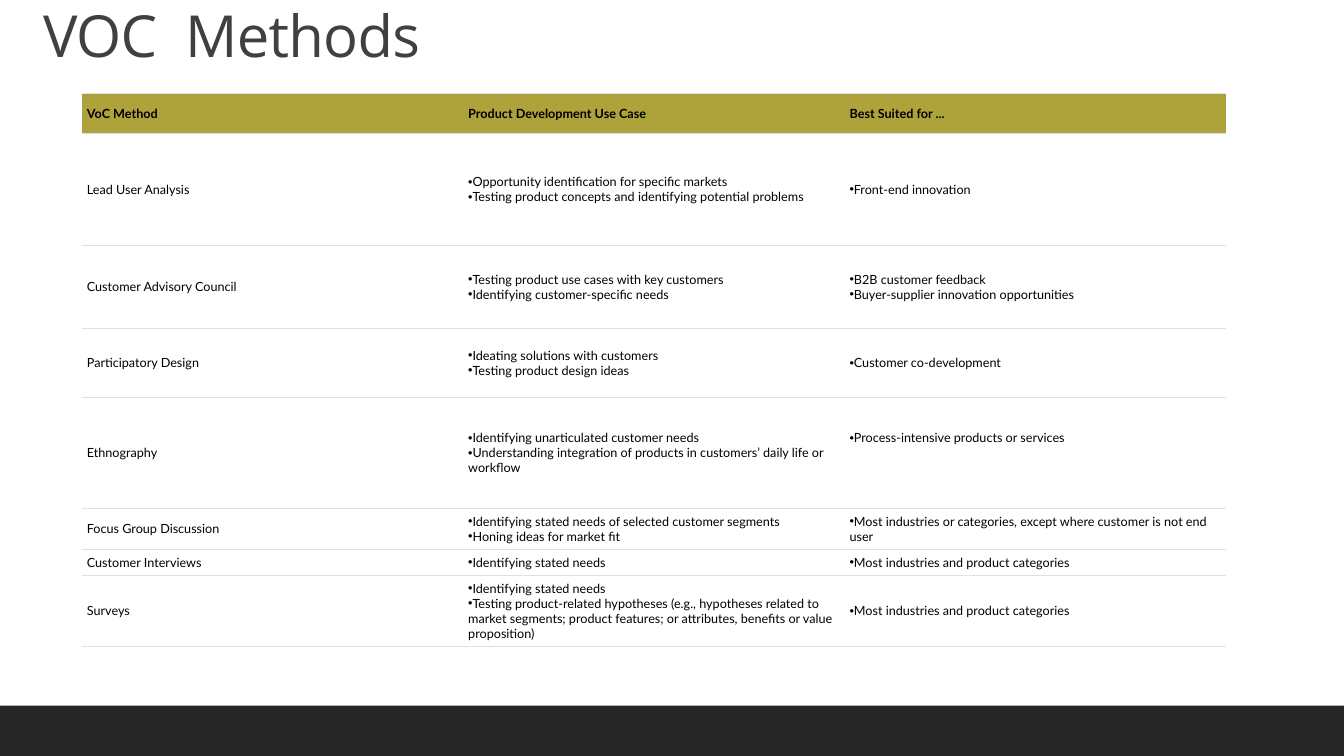
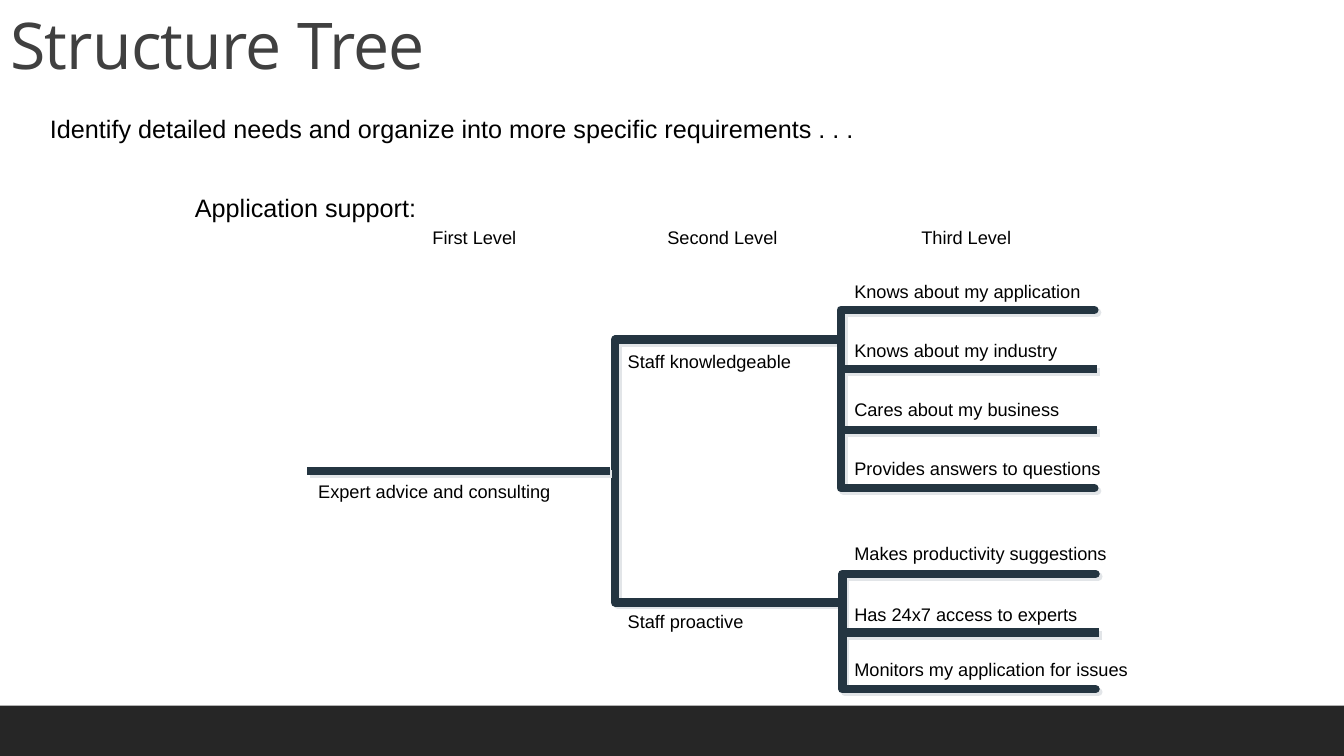
from dataclasses import dataclass

from lxml.etree import SubElement
from pptx import Presentation
from pptx.dml.color import RGBColor
from pptx.enum.shapes import MSO_CONNECTOR as Connector, MSO_SHAPE as Preset
from pptx.enum.text import MSO_ANCHOR as Anchor, MSO_AUTO_SIZE as AutoSize, PP_ALIGN as Align
from pptx.oxml.ns import qn
from pptx.util import Cm, Pt


@dataclass(frozen=True)
class Theme:
    ink: str = "000000"
    title_ink: str = "404040"
    band: str = "262626"
    header: str = "AEA33A"
    paper: str = "FFFFFF"
    rule: str = "E0E0E0"
    branch: str = "243541"
    branch_shadow: str = "E2E5E8"
    title_font: str = "Open Sans"
    table_font: str = "Lato"
    tree_font: str = "Arial"
    bullet_font: str = "Arial"
    title_size: float = 46
    small_title_size: float = 41.4
    lead_size: float = 18
    label_size: float = 13
    cell_size: float = 9
    branch_width: float = 6
    rule_width: float = 0.5


TIGHT = (0.18, 0.08)
ROOMY = (0.23, 0.13)
FLUSH = (0, 0)


class Deck:
    """Builds slides in one shared style, one method for each kind of element."""

    def __init__(self, theme):
        self.theme = theme
        self.prs = Presentation()
        self.prs.slide_width, self.prs.slide_height = Cm(33.87), Cm(19.05)
        self.slide = None

    def add_master_band(self):
        band = self.slide.shapes.add_shape(
            Preset.RECTANGLE, 0, Cm(17.78), self.prs.slide_width, Cm(1.27))
        band.shadow.inherit = False
        self.paint(band.fill, self.theme.band)
        band.line.fill.background()
        self.prs.slide_master.shapes._spTree.insert(2, band._element)

    def add_slide(self, title, left, top, height, size):
        self.slide = self.prs.slides.add_slide(self.prs.slide_layouts[5])
        if len(self.prs.slides) == 1:
            self.add_master_band()

        heading = self.slide.shapes.title
        heading.left, heading.top = Cm(left), Cm(top)
        heading.width, heading.height = Cm(27.94), Cm(height)
        frame = heading.text_frame
        frame.text = title
        frame.auto_size = AutoSize.NONE
        frame.vertical_anchor = Anchor.BOTTOM
        line = frame.paragraphs[0]
        line.alignment, line.line_spacing = Align.LEFT, 0.9
        self.style(line, self.theme.title_font, size, self.theme.title_ink)
        for run in line.runs:
            run.font._element.set("spc", "-50")

    def paint(self, fill, color):
        fill.solid()
        fill.fore_color.rgb = RGBColor.from_string(color)

    def style(self, paragraph, font, size, color, bold=False):
        for run in paragraph.runs:
            run.font.name, run.font.size, run.font.bold = font, Pt(size), bold
            run.font.color.rgb = RGBColor.from_string(color)

    def label(self, text, left, top, width, height=0.71, size=None,
              insets=TIGHT, wrap=False, align=Align.LEFT):
        box = self.slide.shapes.add_textbox(Cm(left), Cm(top), Cm(width), Cm(height))
        frame = box.text_frame
        frame.word_wrap = wrap
        frame.margin_left = frame.margin_right = Cm(insets[0])
        frame.margin_top = frame.margin_bottom = Cm(insets[1])
        frame.text = text
        line = frame.paragraphs[0]
        line.alignment = align
        self.style(line, self.theme.tree_font, size or self.theme.label_size, self.theme.ink)

    def finish_branch(self, branch):
        branch.line.width = Pt(self.theme.branch_width)
        self.paint(branch.line.fill, self.theme.branch)
        effects = SubElement(branch._element.spPr, qn("a:effectLst"))
        shadow = SubElement(effects, qn("a:outerShdw"), dist=str(Pt(2.8)),
                            dir="2700000", algn="ctr", rotWithShape="0")
        SubElement(shadow, qn("a:srgbClr"), val=self.theme.branch_shadow)

    def bracket(self, spine, end, top, bottom):
        builder = self.slide.shapes.build_freeform(Cm(end), Cm(top))
        builder.add_line_segments(
            [(Cm(x), Cm(y)) for x, y in ((spine, top), (spine, bottom), (end, bottom))],
            close=False)
        branch = builder.convert_to_shape()
        branch.fill.background()
        self.finish_branch(branch)
        outline = branch.line.fill._xPr
        outline.set("cap", "rnd")
        SubElement(outline, qn("a:round"))

    def twig(self, start, end, y):
        self.finish_branch(self.slide.shapes.add_connector(
            Connector.STRAIGHT, Cm(start), Cm(y), Cm(end), Cm(y)))

    def cell_borders(self, cell):
        props = cell._tc.get_or_add_tcPr()
        for place, side in enumerate(("lnL", "lnR", "lnT", "lnB")):
            edge = SubElement(props, qn(f"a:{side}"), w=str(Pt(self.theme.rule_width)))
            if side in ("lnT", "lnB"):
                fill = SubElement(edge, qn("a:solidFill"))
                SubElement(fill, qn("a:srgbClr"), val=self.theme.rule)
            else:
                SubElement(edge, qn("a:noFill"))
            props.insert(place, edge)

    def fill_cell(self, cell, text, header, bulleted):
        self.paint(cell.fill, self.theme.header if header else self.theme.paper)
        self.cell_borders(cell)
        cell.vertical_anchor = Anchor.MIDDLE
        cell.margin_left = cell.margin_right = Cm(0.13)
        cell.margin_top = cell.margin_bottom = Cm(0.13)
        cell.text_frame.text = text
        for line in cell.text_frame.paragraphs:
            self.style(line, self.theme.table_font, self.theme.cell_size,
                       self.theme.ink, bold=header)
            if bulleted:
                props = line._p.get_or_add_pPr()
                props.set("marL", "0")
                props.set("indent", "0")
                SubElement(props, qn("a:buFont"), typeface=self.theme.bullet_font)
                SubElement(props, qn("a:buChar"), char="•")

    def table(self, top, rows, heights, has_header=False):
        column = 9.61
        grid = self.slide.shapes.add_table(
            len(rows), 3, Cm(2.06), Cm(top), Cm(3 * column), Cm(sum(heights))).table
        grid.first_row, grid.horz_banding = has_header, False
        for each in grid.columns:
            each.width = Cm(column)
        for r, (texts, height) in enumerate(zip(rows, heights)):
            grid.rows[r].height = Cm(height)
            header = has_header and r == 0
            for c, text in enumerate(texts):
                self.fill_cell(grid.cell(r, c), text, header, c > 0 and not header)
        return grid


MAIN_METHODS = [
    ("VoC Method", "Product Development Use Case", "Best Suited for ..."),
    ("Lead User Analysis",
     "Opportunity identification for specific markets\n"
     "Testing product concepts and identifying potential problems",
     "Front-end innovation"),
    ("Customer Advisory Council",
     "Testing product use cases with key customers\nIdentifying customer-specific needs",
     "B2B customer feedback\nBuyer-supplier innovation opportunities"),
    ("Participatory Design",
     "Ideating solutions with customers\nTesting product design ideas",
     "Customer co-development"),
    ("Ethnography",
     "Identifying unarticulated customer needs\n"
     "Understanding integration of products in customers’ daily life or workflow",
     "Process-intensive products or services"),
]
MORE_METHODS = [
    ("Focus Group Discussion",
     "Identifying stated needs of selected customer segments\nHoning ideas for market fit",
     "Most industries or categories, except where customer is not end user"),
    ("Customer Interviews", "Identifying stated needs",
     "Most industries and product categories"),
    ("Surveys",
     "Identifying stated needs\n"
     "Testing product-related hypotheses (e.g., hypotheses related to market segments; "
     "product features; or attributes, benefits or value proposition)",
     "Most industries and product categories"),
]
LEVELS = [("First Level", 10.72, 2.49), ("Second Level", 16.64, 3.15),
          ("Third Level", 23.04, 2.64)]
STAFF_NEEDS = [("Staff knowledgeable", 8.84), ("Staff proactive", 15.37)]
DETAILED_NEEDS = [
    ("Knows about my application", 6.98, 6.12),
    ("Knows about my industry", 8.47, 5.54),
    ("Cares about my business", 9.96, 5.59),
    ("Provides answers to questions", 11.45, 6.63),
    ("Makes productivity suggestions", 13.59, 6.78),
    ("Has 24x7 access to experts", 15.13, 6.05),
    ("Monitors my application for issues", 16.5, 7.34),
]
BRACKETS = [(15.5, 21.16, 8.56, 15.18), (21.23, 27.61, 14.46, 17.37),
            (21.19, 27.58, 7.81, 12.3)]
TWIGS = [(7.74, 15.36, 11.87), (21.26, 27.65, 9.3), (21.26, 27.65, 10.84),
         (21.31, 27.69, 15.94)]


def add_methods(deck):
    deck.add_slide("VOC  Methods", 0.83, 0.32, 1.57, deck.theme.small_title_size)
    methods = deck.table(2.36, MAIN_METHODS, (1.01, 2.81, 2.09, 1.74, 2.8), has_header=True)
    methods.cell(4, 2).margin_bottom = Cm(0.89)
    deck.table(12.81, MORE_METHODS, (1.03, 0.66, 1.79))


def add_tree(deck):
    deck.add_slide("Structure Tree", 0, 0.03, 2.21, deck.theme.title_size)
    lead = dict(height=1.02, size=deck.theme.lead_size, insets=ROOMY, align=Align.CENTER)
    deck.label("Identify detailed needs and organize into more specific requirements . . .",
               0, 2.72, 22.78, wrap=True, **lead)
    for bracket in BRACKETS:
        deck.bracket(*bracket)
    for twig in TWIGS:
        deck.twig(*twig)
    deck.label("Application support:", 4.64, 4.72, 6.12, **lead)
    for level, left, width in LEVELS:
        deck.label(level, left, 5.63, width)
    deck.label("Expert advice and consulting", 7.84, 12.03, 6.27)
    for need, top in STAFF_NEEDS:
        deck.label(need, 15.82, top, 5.11, insets=FLUSH, wrap=True)
    for need, top, width in DETAILED_NEEDS:
        deck.label(need, 21.35, top, width)


def main():
    deck = Deck(Theme())
    add_methods(deck)
    add_tree(deck)
    deck.prs.save("out.pptx")


if __name__ == "__main__":
    main()
